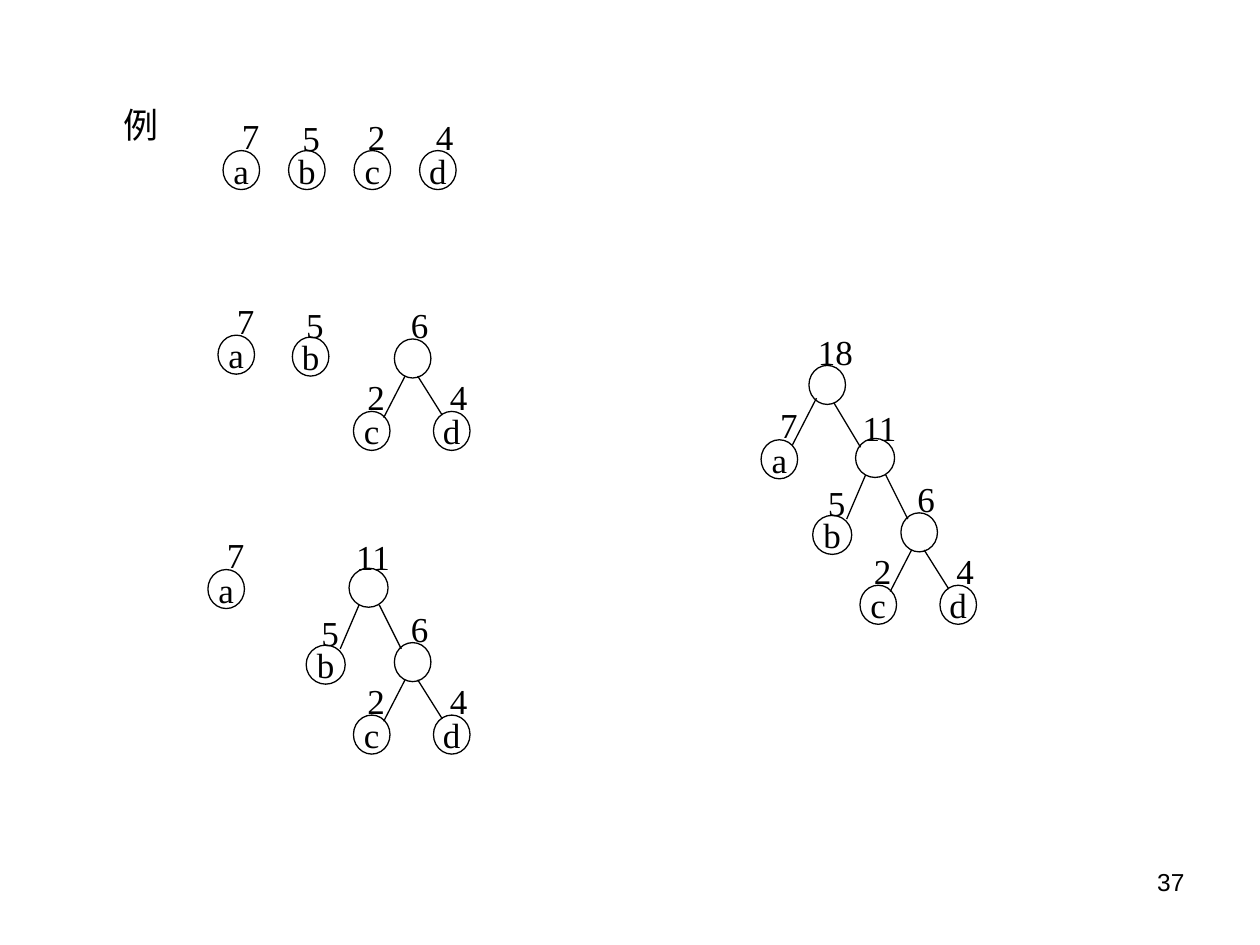
from lxml.etree import SubElement
from pptx import Presentation
from pptx.dml.color import RGBColor
from pptx.enum.shapes import MSO_CONNECTOR as Connector, MSO_SHAPE as Shape
from pptx.enum.text import MSO_ANCHOR as Anchor, MSO_AUTO_SIZE as AutoSize, PP_ALIGN as Align
from pptx.oxml.ns import qn
from pptx.util import Inches, Pt

COLUMNS, ROWS = 100, 75
NODE_HEIGHT, LABEL_HEIGHT = 3.1, 4.4

# name: (weight, width, label offset right, label offset down), offsets between centres
NODES = {
    "a": ("7", 2.9, 0.75, -2.75),
    "b": ("5", 2.9, 0.35, -2.55),
    "c": ("2", 2.9, 0.35, -2.7),
    "d": ("4", 2.9, 0.55, -2.7),
    "cd": ("6", 2.9, 0.55, -2.7),
    "bcd": ("11", 3.1, 0.35, -2.45),
    "abcd": ("18", 2.9, 0.65, -2.65),
}

# parent: (child, child centre, edge start, edge end), measured from the parent's centre
BRANCHES = {
    "cd": [("c", (-3.25, 5.75), (-0.6, 1.4), (-2.3, 4.7)),
           ("d", (3.1, 5.75), (0.4, 1.4), (2.35, 4.5))],
    "bcd": [("b", (-3.4, 6.1), (-0.75, 1.35), (-2.25, 4.85)),
            ("cd", (3.5, 5.9), (0.85, 1.35), (2.6, 4.85))],
    "abcd": [("a", (-3.8, 5.9), (-0.85, 1.05), (-2.75, 4.75)),
             ("bcd", (3.8, 5.8), (0.55, 1.45), (2.65, 4.95))],
}

# each step of the construction: the trees in its forest and their root centres
STEPS = [
    [(name, 19.15 + 5.2 * index, 13.5) for index, name in enumerate("abcd")],
    [("a", 18.75, 28.15), ("b", 24.65, 28.3), ("cd", 32.75, 28.45)],
    [("a", 17.95, 46.75), ("bcd", 29.25, 46.65)],
    [("abcd", 65.65, 30.55)],
]


def color(hex_string):
    return RGBColor.from_string(hex_string)


class TreeSlide:
    ink = "000000"
    font, size = "Times New Roman", 20
    line_width = 0.75

    def __init__(self, presentation):
        self.column = presentation.slide_width / COLUMNS
        self.row = presentation.slide_height / ROWS
        self.slide = presentation.slides.add_slide(presentation.slide_layouts[5])
        self.shapes = self.slide.shapes

    def box(self, left, top, width, height):
        return [round(value * unit) for value, unit in
                ((left, self.column), (top, self.row), (width, self.column), (height, self.row))]

    def centred_box(self, x, y, width, height):
        return self.box(x - width / 2, y - height / 2, width, height)

    def set_text(self, shape, text, font=font, size=size, align=Align.CENTER,
                 anchor=Anchor.MIDDLE, wrap=False):
        frame = shape.text_frame
        frame.word_wrap = wrap
        frame.auto_size = AutoSize.NONE
        frame.vertical_anchor = anchor
        paragraph = frame.paragraphs[0]
        paragraph.alignment = align
        run = paragraph.add_run()
        run.text = text
        run.font.name, run.font.size = font, Pt(size)
        run.font.color.rgb = color(self.ink)

    def stroke(self, shape):
        shape.line.color.rgb = color(self.ink)
        shape.line.width = Pt(self.line_width)

    def title(self, text, *place):
        title = self.slide.shapes.title
        title.left, title.top, title.width, title.height = self.box(*place)
        self.set_text(title, text)

    def page_number(self, text, *place):
        shape = self.slide.shapes.add_textbox(*self.box(*place))
        self.set_text(shape, text, "Arial", 14, Align.RIGHT, Anchor.TOP, True)

    def node(self, name, x, y, width):
        weight, _, right, down = NODES[name]
        circle = self.shapes.add_shape(Shape.OVAL, *self.centred_box(x, y, width, NODE_HEIGHT))
        circle.shadow.inherit = False
        circle.fill.background()
        self.stroke(circle)
        if len(name) == 1:
            self.set_text(circle, name)
        label_width = 2 + 1.4 * len(weight)
        label = self.shapes.add_textbox(
            *self.centred_box(x + right, y + down, label_width, LABEL_HEIGHT))
        self.set_text(label, weight)

    def edge(self, x1, y1, x2, y2):
        line = self.shapes.add_connector(Connector.STRAIGHT, *self.box(x1, y1, x2, y2))
        self.stroke(line)
        SubElement(line._element.spPr, qn("a:effectLst"))

    def tree(self, name, x, y, width=None):
        """Draw a node and, below it, its subtrees; width overrides the node's own."""
        self.node(name, x, y, width or NODES[name][1])
        for child, (right, down), start, end in BRANCHES.get(name, []):
            self.edge(x + start[0], y + start[1], x + end[0], y + end[1])
            child_width = NODES[name][1] if child == "b" else None
            self.tree(child, x + right, y + down, child_width)

    def forest(self, trees):
        self.shapes = self.slide.shapes.add_group_shape().shapes
        for name, x, y in trees:
            self.tree(name, x, y)


def main():
    presentation = Presentation()
    presentation.slide_width, presentation.slide_height = Inches(10), Inches(7.5)
    slide = TreeSlide(presentation)
    slide.title("例", 8.8, 7.7, 4.8, 4.4)
    for trees in STEPS:
        slide.forest(trees)
    slide.page_number("37", 71.7, 68.3, 23.3, 5.2)
    presentation.save("out.pptx")


if __name__ == "__main__":
    main()
